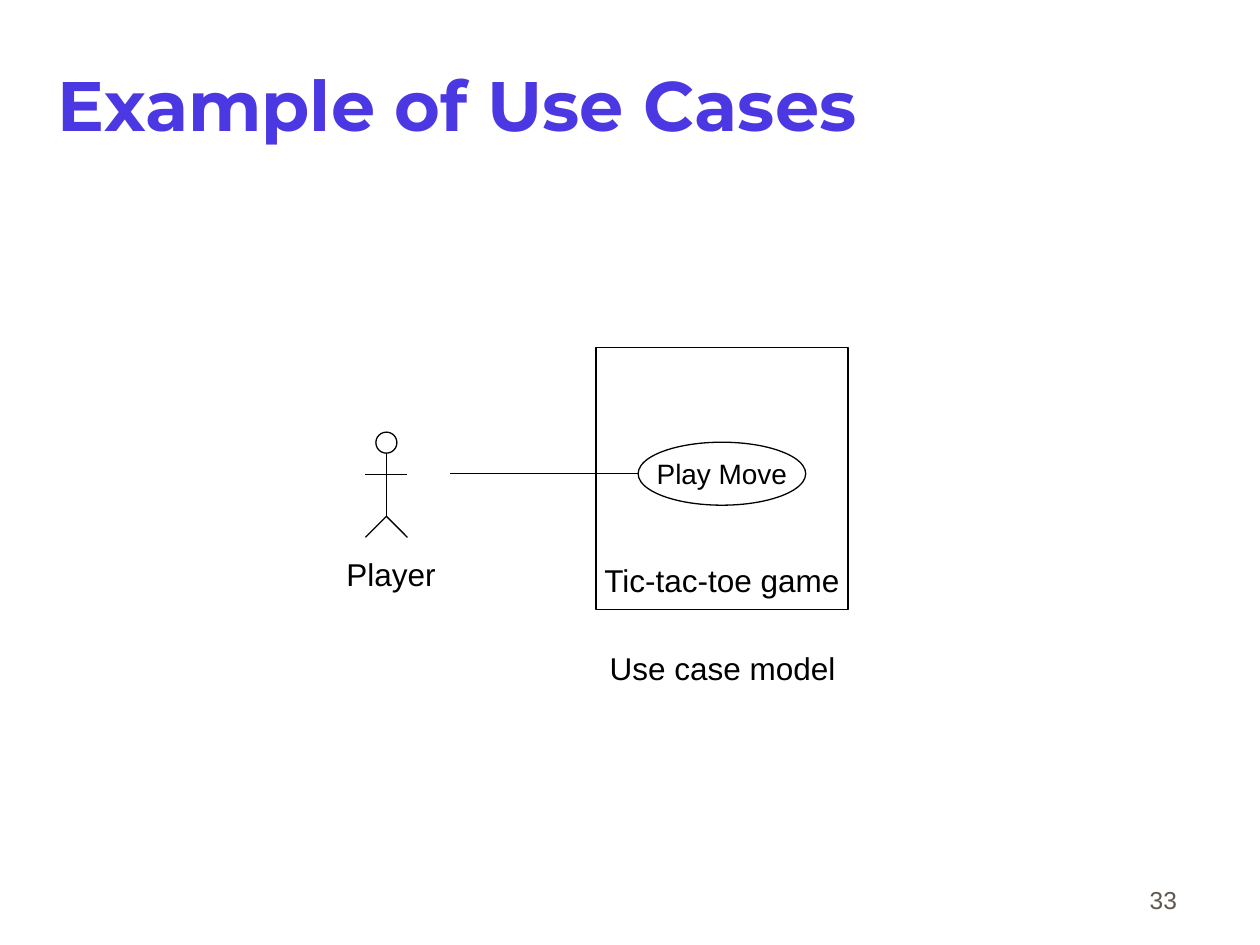
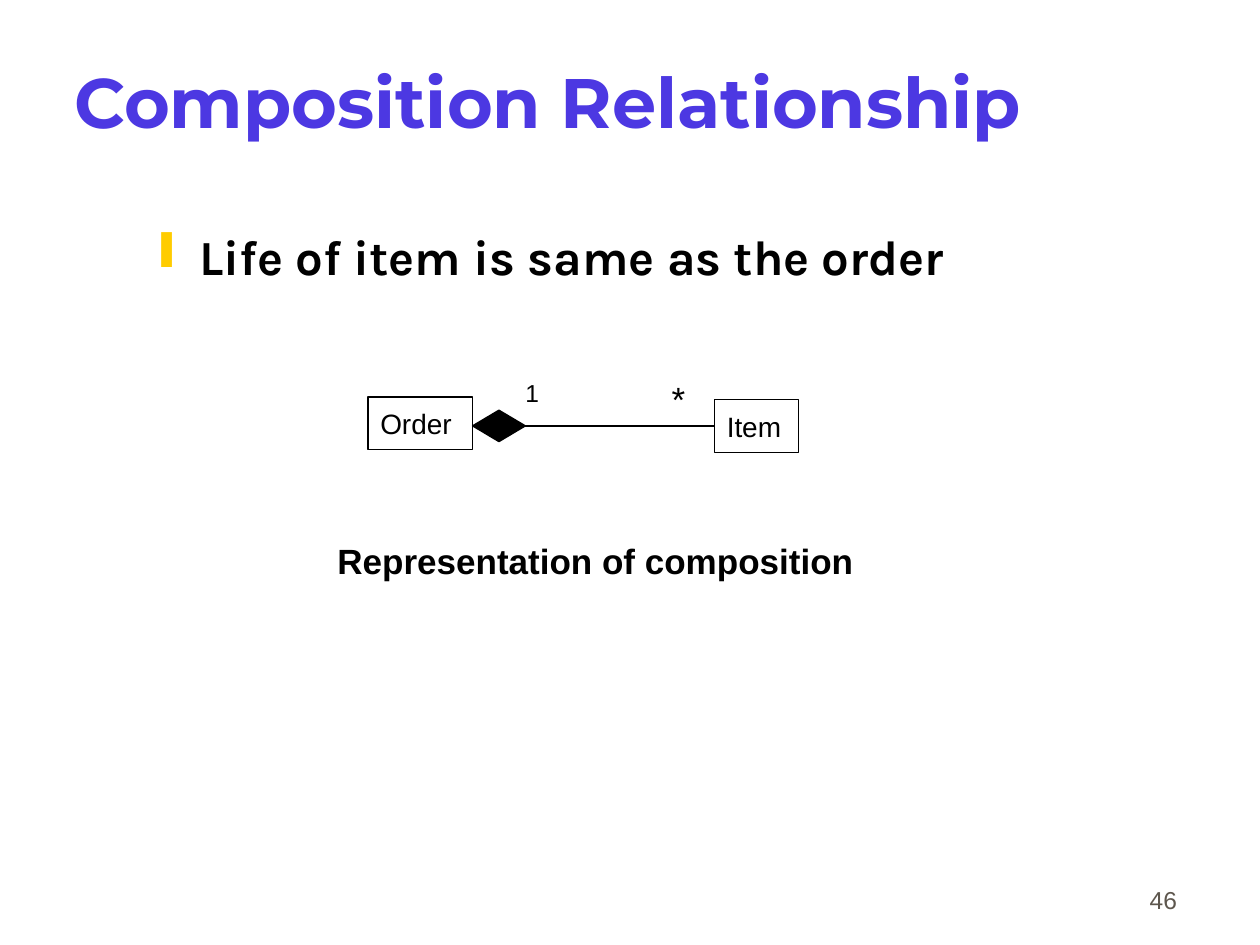
from dataclasses import dataclass

import lxml.etree
import pptx
import pptx.dml.color
import pptx.enum.shapes
import pptx.enum.text
import pptx.oxml.ns
import pptx.util

Inches = pptx.util.Inches
Pt = pptx.util.Pt
SHAPE = pptx.enum.shapes.MSO_SHAPE
ALIGN = pptx.enum.text.PP_ALIGN
ANCHOR = pptx.enum.text.MSO_ANCHOR
qn = pptx.oxml.ns.qn


@dataclass(frozen=True)
class Theme:
    ink: str = "000000"
    title: str = "4C38E2"
    bullet: str = "FFCC00"
    muted: str = "5E574E"
    title_font: str = "Montserrat"
    body_font: str = "Karla"
    label_font: str = "Arial"
    title_size: int = 40
    body_size: int = 28
    caption_size: int = 20
    label_size: int = 18
    node_size: int = 16
    small_size: int = 14
    line_width: float = 0.75


THEME = Theme()
LABEL_INSETS = (0.1, 0.05, 0.1, 0.05)
PLACEHOLDER_INSETS = (0.02, 0.05, 0.02, 0.05)


def rgb(color):
    return pptx.dml.color.RGBColor.from_string(color)


def write(sp, text, size=THEME.label_size, font=THEME.label_font, color=THEME.ink,
          bold=False, align=ALIGN.LEFT, anchor=ANCHOR.TOP, insets=LABEL_INSETS,
          wrap=False, bullet=None):
    """Set one formatted paragraph in a shape; bullet is (character, colour, margin, indent)."""
    tf = sp.text_frame
    tf.word_wrap = wrap
    tf.vertical_anchor = anchor
    tf.margin_left, tf.margin_top, tf.margin_right, tf.margin_bottom = map(Inches, insets)
    p = tf.paragraphs[0]
    p.alignment = align
    if bullet:
        add_bullet(p, *bullet)
    r = p.add_run()
    r.text = text
    r.font.size = Pt(size)
    r.font.name = font
    r.font.bold = bold
    r.font.color.rgb = rgb(color)


def add_bullet(p, char, color, margin, indent):
    pPr = p._p.get_or_add_pPr()
    pPr.set("marL", str(Inches(margin)))
    pPr.set("indent", str(Inches(indent)))
    buClr = lxml.etree.SubElement(pPr, qn("a:buClr"))
    lxml.etree.SubElement(buClr, qn("a:srgbClr"), val=color)
    lxml.etree.SubElement(pPr, qn("a:buChar"), char=char)


def add_label(s, text, x, y, w, h, **text_format):
    sp = s.shapes.add_textbox(Inches(x), Inches(y), Inches(w), Inches(h))
    write(sp, text, **text_format)


def add_outline(s, kind, x, y, w, h, fill=None):
    sp = s.shapes.add_shape(kind, Inches(x), Inches(y), Inches(w), Inches(h))
    sp.shadow.inherit = False
    if fill:
        sp.fill.solid()
        sp.fill.fore_color.rgb = rgb(fill)
    else:
        sp.fill.background()
    sp.line.color.rgb = rgb(THEME.ink)
    sp.line.width = Pt(THEME.line_width)
    return sp


def add_line(s, x1, y1, x2, y2):
    line = s.shapes.add_connector(pptx.enum.shapes.MSO_CONNECTOR.STRAIGHT,
                                  Inches(x1), Inches(y1), Inches(x2), Inches(y2))
    line.line.color.rgb = rgb(THEME.ink)
    line.line.width = Pt(THEME.line_width)
    lxml.etree.SubElement(line._element.spPr, qn("a:effectLst"))


def add_base_slide(prs, title, number, x, y):
    """Add a slide with its page number and a title box at x, y."""
    s = prs.slides.add_slide(prs.slide_layouts[6])
    add_label(s, str(number), 7.36, 6.81, 2.08, 0.5, size=THEME.small_size,
              color=THEME.muted, align=ALIGN.RIGHT, anchor=ANCHOR.BOTTOM, wrap=True)
    add_label(s, title, x, y, 8.5, 1.25, size=THEME.title_size, font=THEME.title_font,
              color=THEME.title, bold=True, anchor=ANCHOR.MIDDLE,
              insets=PLACEHOLDER_INSETS, wrap=True)
    return s


def draw_actor(s, name, x, y, unit=0.167):
    """Draw a stick figure two units wide and five high, with its name below."""
    middle, hip, feet = x + unit, y + 4 * unit, y + 5 * unit
    add_outline(s, SHAPE.OVAL, x + unit / 2, y, unit, unit)
    add_line(s, middle, y + unit, middle, hip)
    add_line(s, x, y + 2 * unit, x + 2 * unit, y + 2 * unit)
    for foot in (x, x + 2 * unit):
        add_line(s, middle, hip, foot, feet)
    add_label(s, name, x - 0.25, feet + 0.09, 0.91, 0.4)


def draw_system(s, name, use_case, caption, x, y, w, h):
    """Draw a system boundary with one use case inside and a caption below."""
    boundary = add_outline(s, SHAPE.RECTANGLE, x, y, w, h)
    write(boundary, name, align=ALIGN.CENTER, anchor=ANCHOR.BOTTOM,
          insets=(0.1, 0.05, 0.1, 0.09))
    oval_w, oval_h = 1.33, 0.5
    oval = add_outline(s, SHAPE.OVAL, x + (w - oval_w) / 2, y + 0.75, oval_w, oval_h)
    write(oval, use_case, size=THEME.node_size, align=ALIGN.CENTER, anchor=ANCHOR.MIDDLE)
    add_label(s, caption, x + 0.01, y + h + 0.26, w, 0.4)


def draw_class(s, name, x, y, w, h=0.42):
    sp = add_outline(s, SHAPE.RECTANGLE, x, y, w, h)
    write(sp, name, size=THEME.node_size, anchor=ANCHOR.MIDDLE)


def draw_composition(s, whole, part, x, y):
    """Join two class boxes by a line with a filled diamond and multiplicities."""
    whole_w, diamond_w, diamond_h, line_w = 0.83, 0.42, 0.25, 1.5
    diamond_x = x + whole_w
    line_x = diamond_x + diamond_w
    line_y = y + 0.23
    draw_class(s, whole, x, y, whole_w)
    draw_class(s, part, line_x + line_w, y + 0.02, 0.67)
    add_outline(s, SHAPE.FLOWCHART_DECISION, diamond_x, line_y - diamond_h / 2,
                diamond_w, diamond_h, fill=THEME.ink)
    add_line(s, line_x, line_y, line_x + line_w, line_y)
    for count, offset, size, h in (("1", 0, THEME.small_size, 0.23),
                                   ("*", 1.16, THEME.caption_size, 0.33)):
        add_label(s, count, line_x + offset, y - 0.15, 0.11, h, size=size,
                  insets=(0, 0, 0, 0))


def build_use_case_slide(prs):
    s = add_base_slide(prs, "Example of Use Cases", 33, 0.44, 0.2)
    draw_system(s, "Tic-tac-toe game", "Play Move", "Use case model", 4.73, 2.76, 2, 2.08)
    draw_actor(s, "Player", 2.9, 3.43)
    add_line(s, 3.57, 3.76, 5.07, 3.76)


def build_composition_slide(prs):
    s = add_base_slide(prs, "Composition Relationship", 46, 0.57, 0.17)
    add_label(s, "Life of item is same as the order", 0.75, 1.75, 8.5, 0.83,
              size=THEME.body_size, font=THEME.body_font, bold=True,
              insets=PLACEHOLDER_INSETS, wrap=True,
              bullet=("❙", THEME.bullet, 0.81, -0.31))
    draw_composition(s, "Order", "Item", 2.92, 3.15)
    add_label(s, "Representation of composition", 2.58, 4.23, 4.3, 0.44,
              size=THEME.caption_size, bold=True)


def main():
    prs = pptx.Presentation()
    prs.slide_width, prs.slide_height = Inches(10), Inches(7.5)
    build_use_case_slide(prs)
    build_composition_slide(prs)
    prs.save("out.pptx")


if __name__ == "__main__":
    main()
